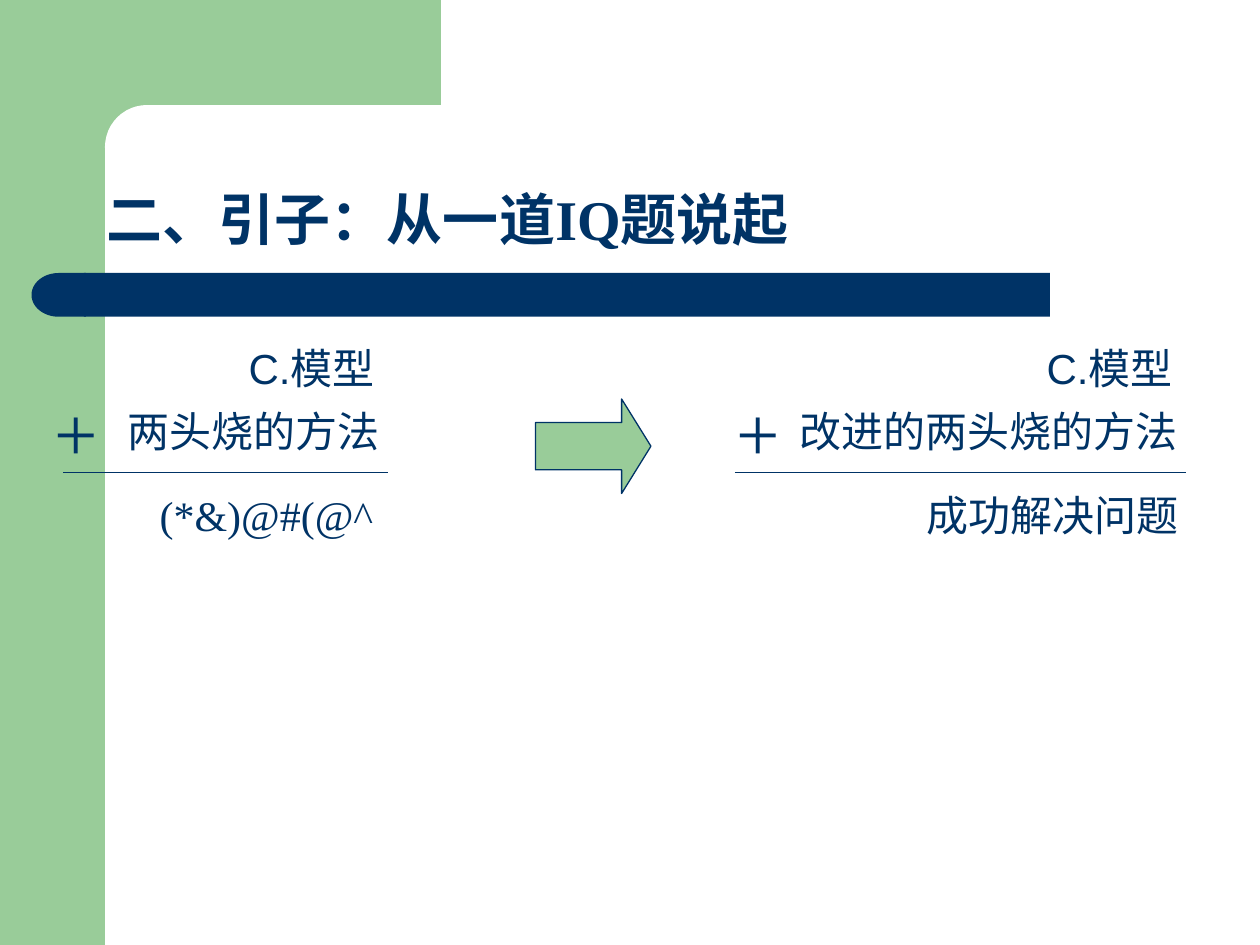
from pptx import Presentation
from pptx.dml.color import RGBColor
from pptx.enum.shapes import MSO_CONNECTOR, MSO_SHAPE
from pptx.oxml.ns import qn
from pptx.util import Pt
from lxml import etree

GREEN = RGBColor(0x99, 0xCC, 0x99)
NAVY = RGBColor(0x00, 0x33, 0x66)
WHITE = RGBColor(0xFF, 0xFF, 0xFF)
SERIF, SANS = "Times New Roman", "Arial"
RECT, ROUNDED = MSO_SHAPE.RECTANGLE, MSO_SHAPE.ROUNDED_RECTANGLE
DELAY, ARROW = MSO_SHAPE.FLOWCHART_DELAY, MSO_SHAPE.RIGHT_ARROW
STRAIGHT = MSO_CONNECTOR.STRAIGHT

deck = Presentation()
deck.slide_width, deck.slide_height = Pt(720), Pt(540)
page = deck.slides.add_slide(deck.slide_layouts[6])


def add_block(kind, left, top, width, height, color):
    block = page.shapes.add_shape(kind, Pt(left), Pt(top), Pt(width), Pt(height))
    block.shadow.inherit = False
    block.fill.solid()
    block.fill.fore_color.rgb = color
    block.line.fill.background()
    return block


def add_text(left, top, width, height, spans, size, bold=False, indent=0):
    """Add a one-line text box; spans is a list of (text, font name)."""
    box = page.shapes.add_textbox(Pt(left), Pt(top), Pt(width), Pt(height))
    box.text_frame.word_wrap = True
    box.text_frame.margin_left = Pt(7.2 + indent)
    para = box.text_frame.paragraphs[0]
    para.font.size = Pt(size)
    para.font.bold = bold
    para.font.color.rgb = NAVY
    for text, font_name in spans:
        span = para.add_run()
        span.text = text
        span.font.name = font_name
    return box


# Background frame and title bar
add_block(RECT, 0, 0, 60, 540, GREEN)
add_block(RECT, 54, 0, 198, 84, GREEN)
panel = add_block(ROUNDED, 60, 60, 402, 48, WHITE)
panel.adjustments[0] = 0.5
add_block(RECT, 48, 156, 552, 25, NAVY)
bar_cap = add_block(DELAY, 18, 156, 31, 25, NAVY)
bar_cap.rotation = 180

add_text(54, 102, 534, 46, [("二、引子：从一道IQ题说起", SERIF)], 32, bold=True)

# Two sums: model + method = result.
# Each place is (left, width); rule is (start, end).
sums = [
    dict(model=135, plus=(24, 78), method=(66, 162), rule=(36, 222),
         result=(72, 156), texts=("两头烧的方法", "(*&)@#(@^")),
    dict(model=591, plus=(414, 48), method=(450, 234), rule=(420, 678),
         result=(510, 174), texts=("改进的两头烧的方法", "成功解决问题")),
]
for item in sums:
    method, result = item["texts"]
    model_box = add_text(item["model"], 192, 92, 36, [("C.", SANS), ("模型", SERIF)], 24)
    model_box.text_frame.word_wrap = False
    left, width = item["plus"]
    add_text(left, 216, width, 60, [("+", SERIF)], 44)
    left, width = item["method"]
    add_text(left, 228, width, 36, [(method, SERIF)], 24)
    start, end = item["rule"]
    rule = page.shapes.add_connector(STRAIGHT, Pt(start), Pt(270), Pt(end), Pt(270))
    rule.line.color.rgb = NAVY
    rule.line.width = Pt(0.75)
    etree.SubElement(rule._element.spPr, qn("a:effectLst"))
    left, width = item["result"]
    add_text(left, 276, width, 36, [(result, SERIF)], 24, indent=12)

arrow = add_block(ARROW, 306, 228, 66, 54, GREEN)
arrow.adjustments[1] = 0.31
arrow.line.color.rgb = NAVY
arrow.line.width = Pt(0.75)

deck.save("out.pptx")
